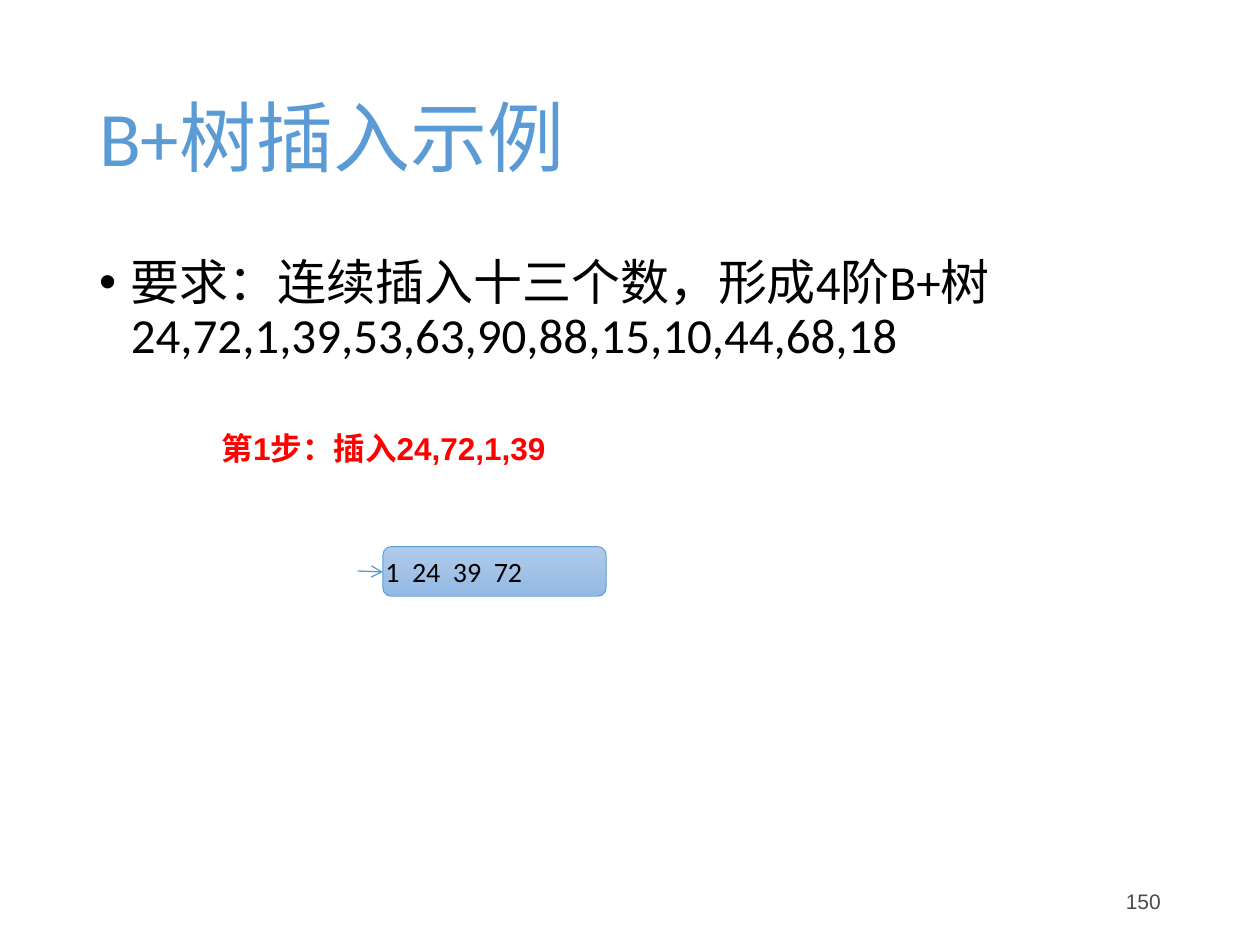
import pptx
import pptx.dml.color
import pptx.enum.dml
import pptx.enum.shapes
import pptx.enum.text
import pptx.oxml
import pptx.oxml.ns
import pptx.util
from lxml import etree

Cm = pptx.util.Cm
Pt = pptx.util.Pt
RGB = pptx.dml.color.RGBColor
ALIGN = pptx.enum.text.PP_ALIGN
ANCHOR = pptx.enum.text.MSO_ANCHOR

BLUE = RGB(0x5B, 0x9B, 0xD5)
LIGHT = RGB(0xB1, 0xCB, 0xE9)
DEEP = RGB(0x93, 0xB9, 0xE4)
BLACK = RGB(0, 0, 0)
GREY = RGB(0x4B, 0x4B, 0x4B)
RED = RGB(0xFF, 0, 0)


def add_sub(node, tag, **attrs):
    return etree.SubElement(node, pptx.oxml.ns.qn(tag), attrs)


def write(shape, text, color, font, anchor=ANCHOR.MIDDLE, align=ALIGN.LEFT, gap=1.0):
    """Fill the shape with one paragraph; font is a dict of font values."""
    frame = shape.text_frame
    frame.word_wrap = True
    frame.vertical_anchor = anchor
    para = frame.paragraphs[0]
    para.text = text
    para.alignment = align
    para.line_spacing = gap
    run = para.runs[0]
    for key, value in font.items():
        setattr(run.font, key, value)
    run.font.color.rgb = color
    return para


deck = pptx.Presentation()
deck.slide_width = Cm(25.4)
deck.slide_height = Cm(19.05)
slide = deck.slides.add_slide(deck.slide_layouts[6])
shapes = slide.shapes

# Title
title = shapes.add_textbox(Cm(1.75), Cm(1.02), Cm(21.9), Cm(3.68))
write(title, "B+树插入示例", BLUE, {"name": "Calibri", "size": Pt(44)}, gap=0.9)

# Task
body = shapes.add_textbox(Cm(1.75), Cm(5.08), Cm(21.9), Cm(12.09))
para = write(
    body,
    "要求：连续插入十三个数，形成4阶B+树24,72,1,39,53,63,90,88,15,10,44,68,18",
    BLACK,
    {"name": "Calibri", "size": Pt(28)},
    anchor=ANCHOR.TOP,
    gap=0.9,
)
props = para._p.get_or_add_pPr()
props.set("marL", str(Cm(0.64)))
props.set("indent", str(-Cm(0.64)))
add_sub(props, "a:buFont", typeface="Arial")
add_sub(props, "a:buChar", char="•")

# Page number
page = shapes.add_textbox(Cm(17.93), Cm(17.65), Cm(5.72), Cm(1.02))
write(page, "150", GREY, {"name": "Arial", "size": Pt(12)}, align=ALIGN.RIGHT)

# Leaf node
leaf = shapes.add_shape(
    pptx.enum.shapes.MSO_SHAPE.ROUNDED_RECTANGLE, Cm(7.72), Cm(11.02), Cm(4.5), Cm(1)
)
leaf.shadow.inherit = False
leaf.fill.gradient()
leaf.fill.gradient_angle = 270
for stop, color in zip(leaf.fill.gradient_stops, (LIGHT, DEEP)):
    stop.color.rgb = color
for stop, place in zip(leaf.fill.gradient_stops, (0, 1)):
    stop.position = place
leaf.line.color.rgb = BLUE
leaf.line.width = Pt(0.5)
write(leaf, "1  24  39  72", BLACK, {"name": "Calibri", "size": Pt(16)})
sides = {"margin_left": 0, "margin_top": 0, "margin_right": Cm(0.5), "margin_bottom": 0}
for key, value in sides.items():
    setattr(leaf.text_frame, key, value)

# Arrow into the leaf
arrow = shapes.add_connector(
    pptx.enum.shapes.MSO_CONNECTOR.STRAIGHT, Cm(7.21), Cm(11.51), Cm(7.72), Cm(11.53)
)
arrow.line.color.rgb = BLUE
arrow.line.width = Pt(0.75)
add_sub(arrow.line._get_or_add_ln(), "a:tailEnd", type="arrow")
add_sub(arrow._element.spPr, "a:effectLst")

# Step label
step = shapes.add_textbox(Cm(4.22), Cm(8.53), Cm(9.47), Cm(1.02))
write(
    step,
    "第1步：插入24,72,1,39",
    RED,
    {"name": "Arial", "size": Pt(18), "bold": True},
    anchor=ANCHOR.TOP,
)

deck.save("out.pptx")
